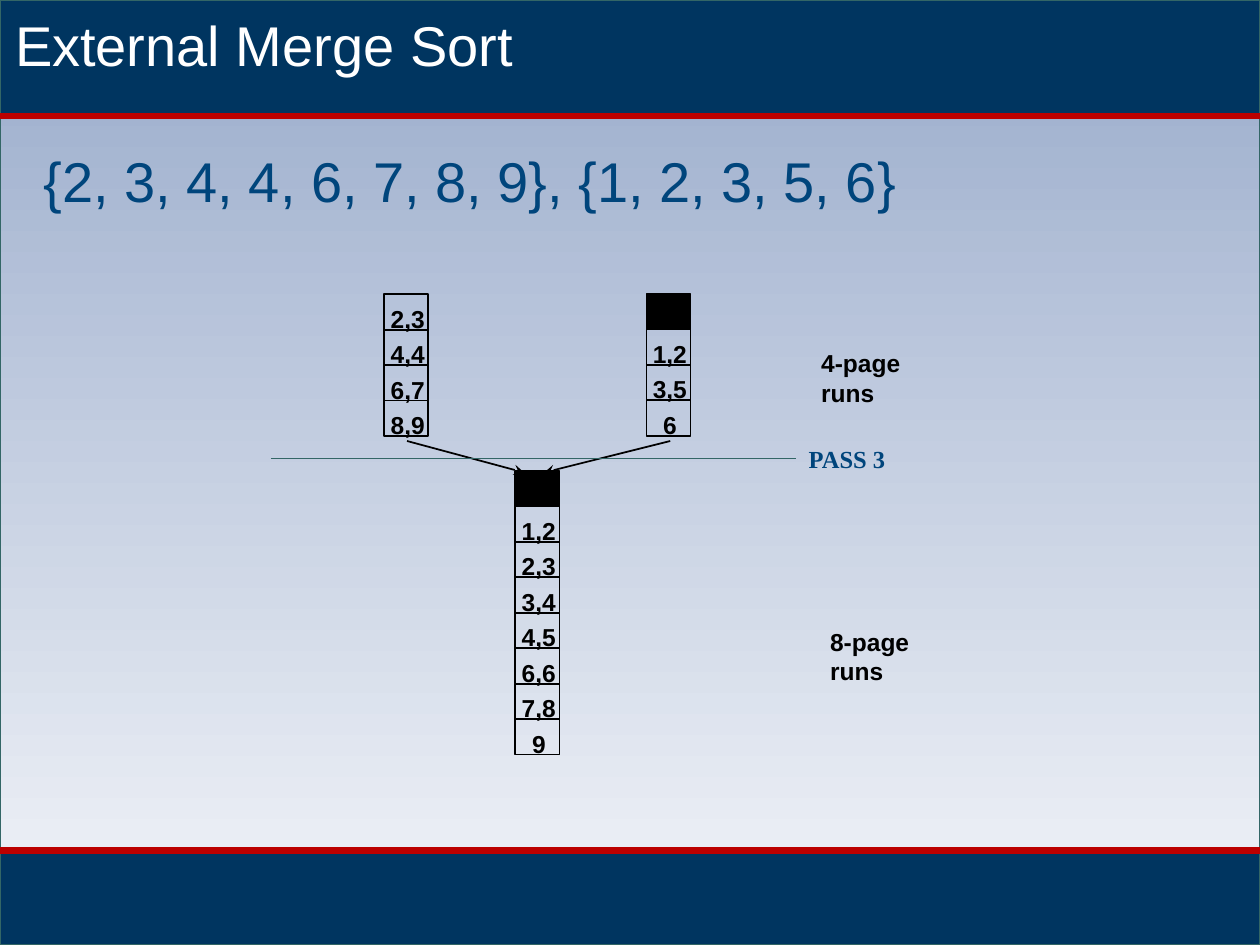
from pptx import Presentation
from pptx.dml.color import RGBColor
from pptx.enum.shapes import MSO_CONNECTOR, MSO_SHAPE
from pptx.enum.text import MSO_ANCHOR, PP_ALIGN
from pptx.oxml.ns import qn
from pptx.util import Pt
from lxml.etree import SubElement

# Content: None marks an empty page, drawn black
TITLE = "External Merge Sort"
LEAD = "{2, 3, 4, 4, 6, 7, 8, 9}, {1, 2, 3, 5, 6}"
RUNS = [  # left, top, pages
    (219.6, 168.2, ["2,3", "4,4", "6,7", "8,9"]),
    (369.4, 168, [None, "1,2", "3,5", "6"]),
    (294.5, 269.2, [None, "1,2", "2,3", "3,4", "4,5", "6,6", "7,8", "9"]),
]
NOTES = [("4-page runs", 462.2, 194.4), ("8-page runs", 467.3, 353.5)]
PASS = "PASS 3"

THEME = {
    "navy": "003560", "blue": "00457C", "teal": "336666", "red": "BC0000",
    "black": "000000", "white": "FFFFFF", "top": "99ABCB", "base": "F3F5F9",
    "sans": "Arial", "serif": "Times New Roman", "big": 32, "small": 14,
}
WIDE, HIGH = 720, 540
HEAD, FOOT = 66.2, 486
CELL_W, CELL_H = 25.2, 20.25
LABEL_H = 23.8


def rgb(name):
    return RGBColor.from_string(THEME[name])


def write(shape, text, size="small", font="sans", color="black", bold=True,
          align=PP_ALIGN.LEFT, wrap=False, inset=4.6):
    frame = shape.text_frame
    frame.word_wrap = wrap
    frame.vertical_anchor = MSO_ANCHOR.TOP
    frame.margin_left = frame.margin_right = Pt(7.2)
    frame.margin_top, frame.margin_bottom = Pt(inset), Pt(3.6)
    par = frame.paragraphs[0]
    par.alignment = align
    run = par.add_run()
    run.text = text
    run.font.name = THEME[font]
    run.font.size = Pt(THEME[size])
    run.font.bold = bold
    run.font.color.rgb = rgb(color)


def label(text, x, y, w, h=LABEL_H, **style):
    box = slide.shapes.add_textbox(Pt(x), Pt(y), Pt(w), Pt(h))
    write(box, text, **style)


def block(x, y, w, h, fill=None, line="black", width=1):
    box = slide.shapes.add_shape(
        MSO_SHAPE.RECTANGLE, Pt(x), Pt(y), Pt(w), Pt(h))
    box.shadow.inherit = False
    if fill:
        box.fill.solid()
        box.fill.fore_color.rgb = rgb(fill)
    else:
        box.fill.background()
    box.line.color.rgb = rgb(line)
    box.line.width = Pt(width)
    return box


def rule(x1, y1, x2, y2, color="black", width=1, arrow=False):
    line = slide.shapes.add_connector(
        MSO_CONNECTOR.STRAIGHT, Pt(x1), Pt(y1), Pt(x2), Pt(y2))
    line.line.color.rgb = rgb(color)
    line.line.width = Pt(width)
    if arrow:
        SubElement(line.line._get_or_add_ln(), qn("a:tailEnd"), type="stealth")
    SubElement(line.element.spPr, qn("a:effectLst"))


deck = Presentation()
deck.slide_width, deck.slide_height = Pt(WIDE), Pt(HIGH)
slide = deck.slides.add_slide(deck.slide_layouts[5])

# Backdrop, bands and red rules
back = block(0, 0, WIDE, HIGH, line="teal", width=0.75)
back.fill.gradient()
back.fill.gradient_angle = 270
for stop, name in zip(back.fill.gradient_stops, ("top", "base")):
    stop.color.rgb = rgb(name)
for top, end in ((FOOT, HIGH), (0, HEAD)):
    block(0, top, WIDE, end - top, fill="navy", line="teal", width=0.75)
for y in (HEAD, FOOT):
    rule(0, y, WIDE, y, color="red", width=3.75)

# Title, brought in front of the bands
title = slide.shapes.title
title.left, title.top, title.width, title.height = map(
    Pt, (1.4, 0, 718.6, 46))
write(title, TITLE, size="big", color="white", bold=False, wrap=True, inset=6)
title.element.getparent().append(title.element)

label(LEAD, 18, 77.8, 506.2, 46,
      size="big", color="blue", bold=False, inset=6)

# Runs: a stack of pages, each label centred on its cell
for left, top, pages in RUNS:
    for row, page in enumerate(pages):
        y = top + row * CELL_H
        block(left, y, CELL_W, CELL_H, fill=None if page else "black")
        if page:
            w = 22.3 if len(page) == 1 else 33.8
            label(page, left + (CELL_W - w) / 2 + 0.8, y + 0.8, w,
                  align=PP_ALIGN.CENTER)

# Merge arrows and pass line
for x1, x2 in ((232.6, 299.5), (383, 311)):
    rule(x1, 252, x2, 270, arrow=True)
rule(154.8, 262, 455, 262, color="teal")
label(PASS, 455, 249.1, 59, font="serif", color="blue")

# Run sizes, wrapped to two lines
for text, x, y in NOTES:
    label(text, x, y, 86.4, wrap=True)

deck.save("out.pptx")
